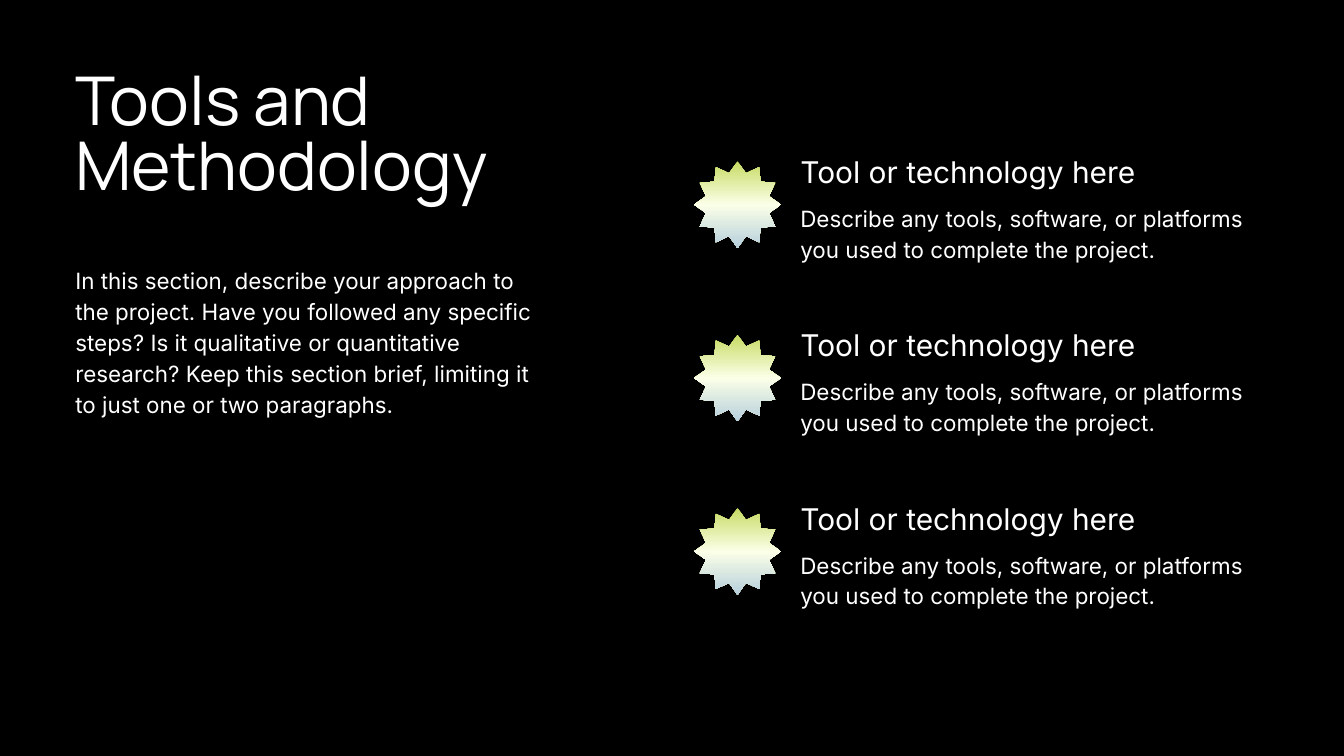
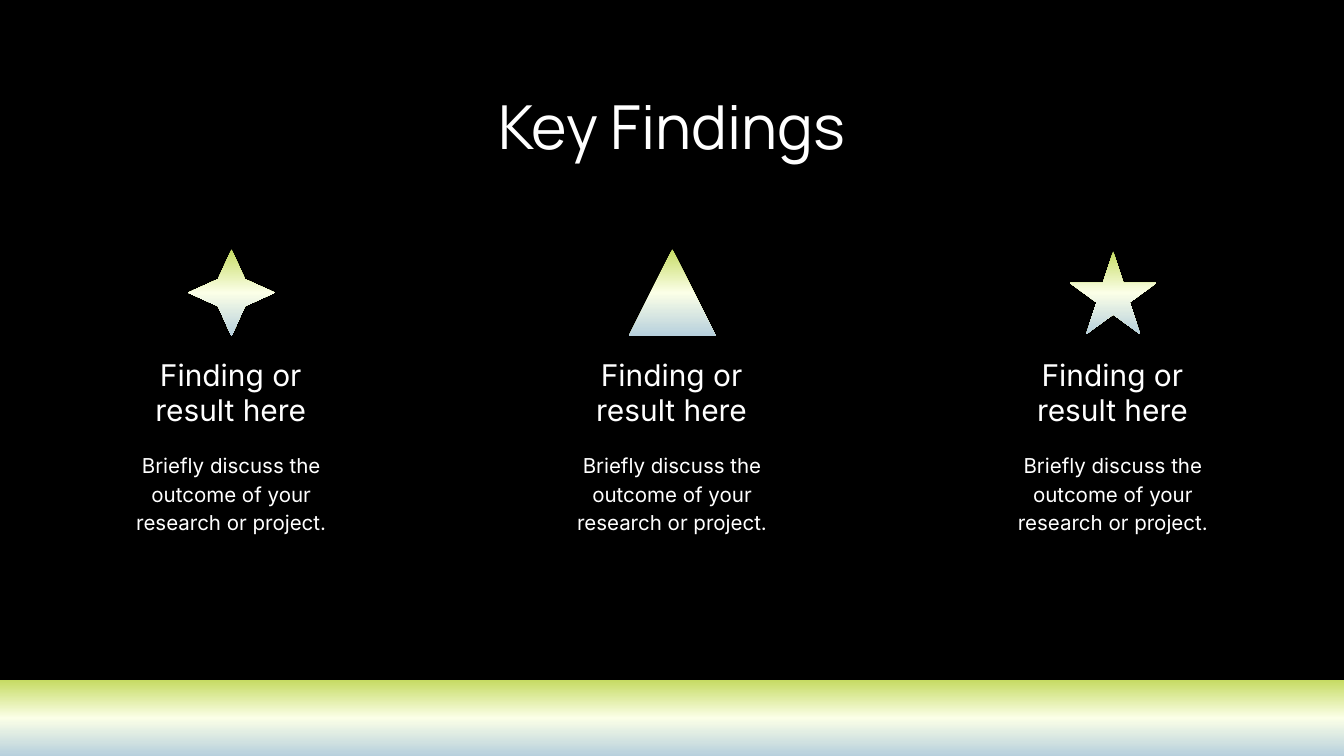
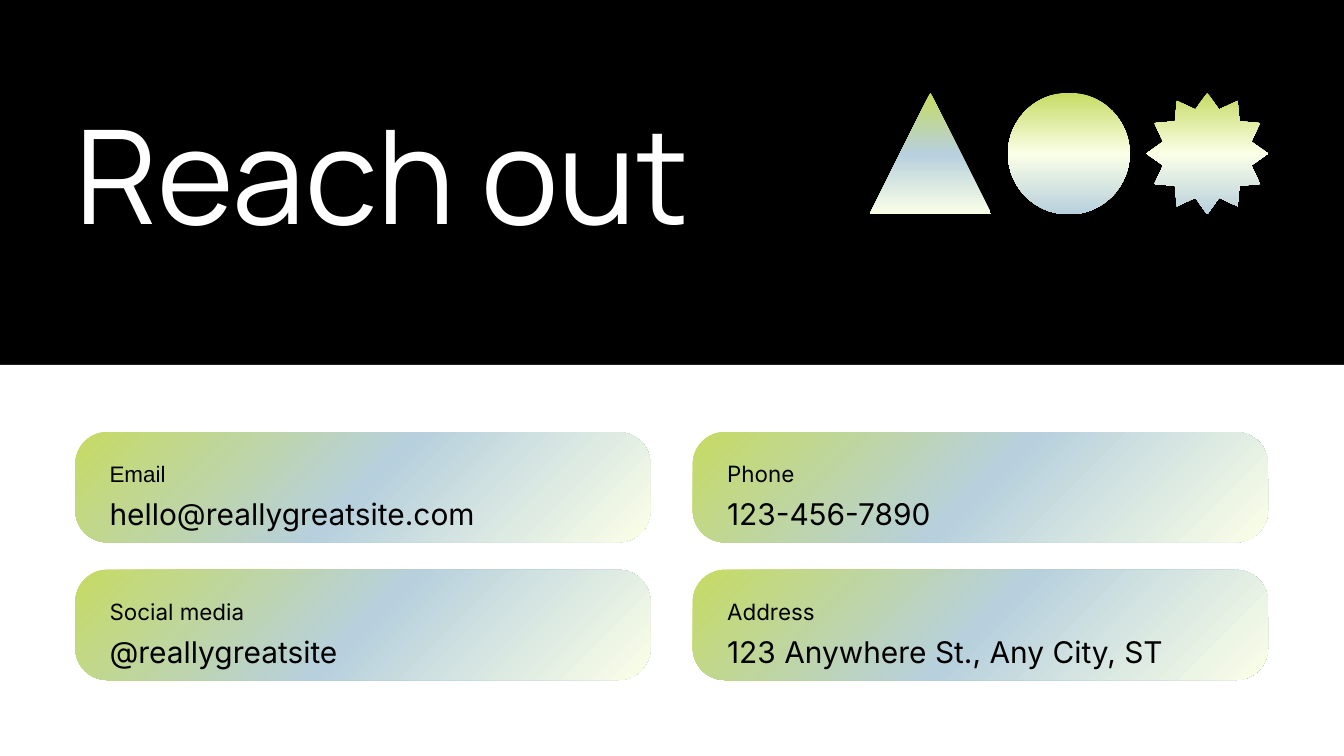
import copy

import pptx
import pptx.dml.color
import pptx.enum.shapes
import pptx.enum.text
import pptx.oxml
import pptx.oxml.ns
import pptx.util

PX = 9144
SLIDE_WIDTH, SLIDE_HEIGHT = 2000, 1125
MARGIN = 112
ICON = 129

COLORS = {
    "black": "000000",
    "white": "FFFFFF",
    "lime": "C6DB63",
    "cream": "FBFFE7",
    "sky": "B7D0DD",
}
ICON_GRADIENT = ("lime", "cream", "sky")
CARD_GRADIENT = ("lime", "sky", "cream")

ALIGN = pptx.enum.text.PP_ALIGN
SHAPE = pptx.enum.shapes.MSO_SHAPE

STYLES = {
    "title": {"name": "Manrope", "size": 72, "color": "white", "line_spacing": 0.8},
    "centred_title": {"name": "Manrope", "size": 65, "color": "white",
                      "line_spacing": 1.2, "alignment": ALIGN.CENTER},
    "closing_title": {"name": "Manrope", "size": 140.1, "color": "white"},
    "body": {"name": "Inter", "size": 24, "color": "white", "line_spacing": 1.15},
    "tool": {"name": "Inter", "size": 32, "color": "white", "line_spacing": 1.2},
    "finding": {"name": "Inter", "size": 32, "color": "white", "alignment": ALIGN.CENTER},
    "outcome": {"name": "Inter", "size": 22, "color": "white",
                "line_spacing": 1.15, "alignment": ALIGN.CENTER},
    "label": {"name": "Inter", "size": 24, "color": "black", "line_spacing": 1.5},
    "email_label": {"name": "Arial", "size": 24, "color": "black", "line_spacing": 1.5},
    "contact": {"name": "Inter", "size": 32, "color": "black", "line_spacing": 1.4},
}
PARAGRAPH_DEFAULTS = {"alignment": ALIGN.LEFT, "line_spacing": 1.0, "space_before": 0}
FRAME_FORMAT = {
    "margin_left": 0,
    "margin_top": 0,
    "margin_right": 0,
    "margin_bottom": 0,
    "word_wrap": True,
    "auto_size": pptx.enum.text.MSO_AUTO_SIZE.NONE,
    "vertical_anchor": pptx.enum.text.MSO_ANCHOR.TOP,
}


def rgb(name):
    return pptx.dml.color.RGBColor.from_string(COLORS[name])


def emu(*lengths):
    return [length * PX for length in lengths]


def set_attributes(target, values):
    for name, value in values.items():
        setattr(target, name, value)


def write_text(box, text, style):
    values = dict(STYLES[style])
    color, name, size = (values.pop(key) for key in ("color", "name", "size"))
    set_attributes(box.text_frame, FRAME_FORMAT)
    para = box.text_frame.paragraphs[0]
    set_attributes(para, {**PARAGRAPH_DEFAULTS, **values})
    span = para.add_run()
    span.text = text
    set_attributes(span.font, {"name": name, "size": pptx.util.Pt(size), "bold": False})
    span.font.color.rgb = rgb(color)


def add_text(page, text, style, *place):
    write_text(page.shapes.add_textbox(*emu(*place)), text, style)


def fill_placeholder(box, text, style, *place):
    set_attributes(box, dict(zip(("left", "top", "width", "height"), emu(*place))))
    properties = box.text_frame.paragraphs[0]._p.get_or_add_pPr()
    properties.set("marL", "0")
    properties.set("indent", "0")
    properties.append(pptx.oxml.parse_xml(
        f'<a:buNone {pptx.oxml.ns.nsdecls("a")}/>'))
    write_text(box, text, style)


def add_page(deck, layout_index, title, style, *place):
    page = deck.slides.add_slide(deck.slide_layouts[layout_index])
    page.background.fill.solid()
    page.background.fill.fore_color.rgb = rgb("black")
    fill_placeholder(page.shapes.title, title, style, *place)
    return page


def add_plain_shape(page, kind, *place):
    shape = page.shapes.add_shape(kind, *emu(*place))
    shape.shadow.inherit = False
    shape.line.fill.background()
    return shape


def add_gradient_shape(page, kind, *place, gradient=ICON_GRADIENT, angle=90, adjustment=None):
    shape = add_plain_shape(page, kind, *place)
    if adjustment is not None:
        shape.adjustments[0] = adjustment
    shape.fill.gradient()
    shape.fill.gradient_angle = 360 - angle
    stops = next(shape._element.spPr.iter(pptx.oxml.ns.qn("a:gsLst")))
    stops.insert(1, copy.deepcopy(stops[0]))
    for stop, position, color in zip(shape.fill.gradient_stops, (0, 0.5, 1), gradient):
        stop.position = position
        stop.color.rgb = rgb(color)


def add_tool(page, top):
    add_gradient_shape(page, SHAPE.STAR_12_POINT, 1033, top + 22, ICON, ICON)
    add_text(page, "Tool or technology here", "tool", 1191, top, 696, 54)
    add_text(page, "Describe any tools, software, or platforms you used to complete the project.",
             "body", 1191, top + 81, 696, 87)


def add_finding(page, center, kind, top, height, adjustment):
    add_gradient_shape(page, kind, center - ICON // 2, top, ICON, height,
                       adjustment=adjustment)
    add_text(page, "Finding or result here", "finding", center - 164, 530, 327, 108)
    add_text(page, "Briefly discuss the outcome of your research or project.",
             "outcome", center - 181, 669, 362, 122)


def add_contact_card(page, left, top, label, value, label_style):
    add_gradient_shape(page, SHAPE.ROUNDED_RECTANGLE, left, top, 856, 164,
                       gradient=CARD_GRADIENT, angle=45, adjustment=0.29)
    add_text(page, label, label_style, left + 51, top + 22, 755, 46)
    add_text(page, value, "contact", left + 51, top + 73, 755, 58)


def build_tools(deck):
    page = add_page(deck, 1, "Tools and Methodology", "title", MARGIN, 110, 727, 194)
    fill_placeholder(
        page.placeholders[1],
        "In this section, describe your approach to the project. Have you followed any "
        "specific steps? Is it qualitative or quantitative research? Keep this section "
        "brief, limiting it to just one or two paragraphs.",
        "body", MARGIN, 392, 700, 226)
    for row in range(3):
        add_tool(page, 218 + 258 * row)


def build_findings(deck):
    page = add_page(deck, 5, "Key Findings", "centred_title", 622, 111, 756, 109)
    icons = (
        (SHAPE.STAR_4_POINT, 371, ICON, 0.22),
        (SHAPE.ISOSCELES_TRIANGLE, 371, ICON, None),
        (SHAPE.STAR_5_POINT, 374, 123, None),
    )
    for column, icon in enumerate(icons):
        add_finding(page, 344 + 656 * column, *icon)
    add_gradient_shape(page, SHAPE.RECTANGLE, 0, 1012, SLIDE_WIDTH, SLIDE_HEIGHT - 1012)


def build_contacts(deck):
    page = add_page(deck, 5, "Reach out", "closing_title", MARGIN, 140, 962, 206)
    panel = add_plain_shape(page, SHAPE.RECTANGLE, 0, 543, SLIDE_WIDTH, SLIDE_HEIGHT - 543)
    panel.fill.solid()
    panel.fill.fore_color.rgb = rgb("white")
    icons = (
        (SHAPE.ISOSCELES_TRIANGLE, CARD_GRADIENT),
        (SHAPE.OVAL, ICON_GRADIENT),
        (SHAPE.STAR_12_POINT, ICON_GRADIENT),
    )
    for column, (kind, gradient) in enumerate(icons):
        add_gradient_shape(page, kind, 1294 + 206 * column, 138, 181, 181, gradient=gradient)
    contacts = (
        ("Email", "hello@reallygreatsite.com", "email_label"),
        ("Phone", "123-456-7890", "label"),
        ("Social media", "@reallygreatsite", "label"),
        ("Address", "123 Anywhere St., Any City, ST", "label"),
    )
    for index, contact in enumerate(contacts):
        row, column = divmod(index, 2)
        add_contact_card(page, MARGIN + 919 * column, 643 + 205 * row, *contact)


def main():
    deck = pptx.Presentation()
    deck.slide_width, deck.slide_height = emu(SLIDE_WIDTH, SLIDE_HEIGHT)
    build_tools(deck)
    build_findings(deck)
    build_contacts(deck)
    deck.save("out.pptx")


if __name__ == "__main__":
    main()
